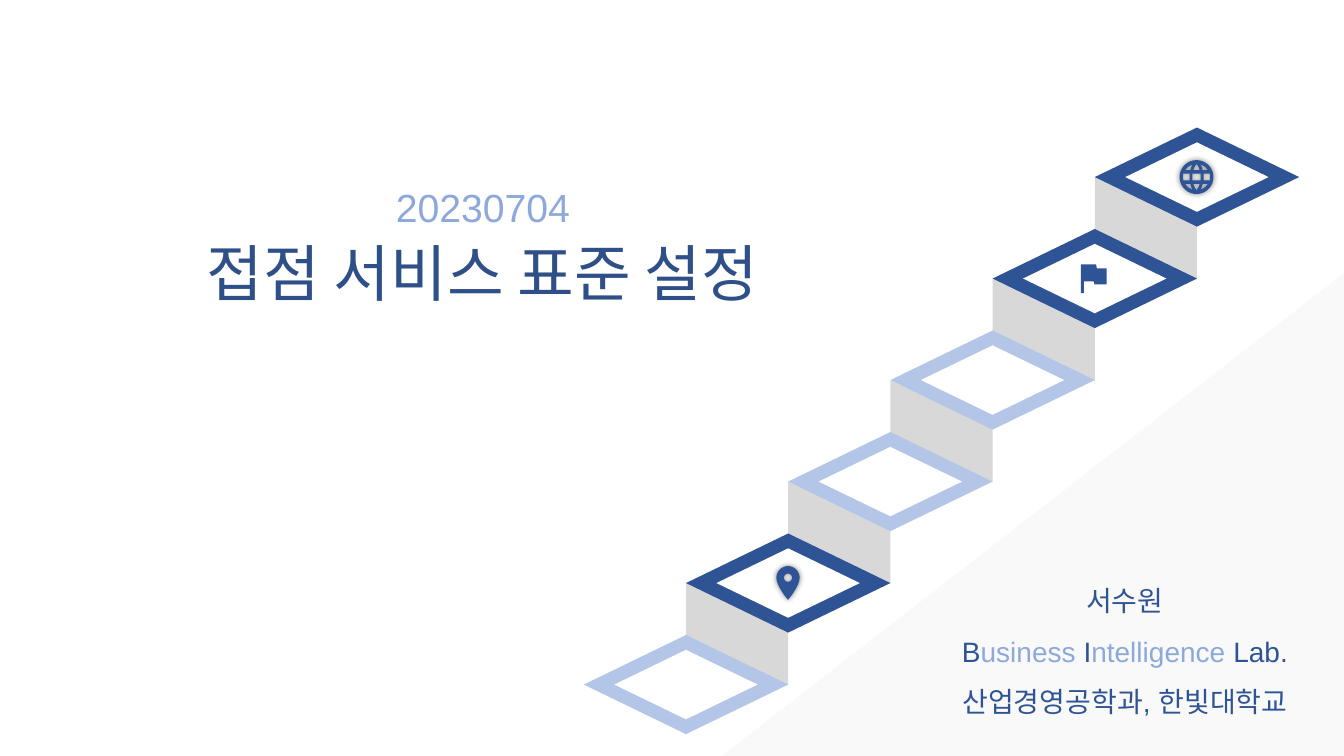
import math
from dataclasses import dataclass

from lxml import etree
from pptx import Presentation
from pptx.dml.color import RGBColor
from pptx.enum import shapes, text
from pptx.oxml import ns
from pptx.util import Pt

Point = tuple[float, float]
Box = tuple[float, float, float, float]


@dataclass(frozen=True)
class Theme:
    navy: str = "2F5496"
    title_navy: str = "2E4F88"
    sky: str = "8DA9DB"
    pale: str = "B3C6E7"
    riser: str = "D8D8D8"
    corner: str = "F2F2F2"
    white: str = "FFFFFF"
    font: str = "Arial"
    title_size: int = 44
    date_size: int = 28
    credit_size: int = 20


@dataclass(frozen=True)
class Step:
    index: int
    color: str

    @property
    def left(self) -> float:
        return 417 + 73 * self.index

    @property
    def top(self) -> float:
        return 453.6 - 72.5 * self.index


@dataclass(frozen=True)
class Icon:
    center: Point
    contours: list[list[Point]]
    glows: bool


THEME = Theme()
PRESET = shapes.MSO_SHAPE


def paint(shape, color: str) -> None:
    shape.shadow.inherit = False
    shape.fill.solid()
    shape.fill.fore_color.rgb = RGBColor.from_string(color)
    shape.line.fill.background()


def add_preset(slide, preset, box: Box, color: str, rotation: float = 0):
    shape = slide.shapes.add_shape(preset, *map(Pt, box))
    shape.rotation = rotation
    paint(shape, color)
    return shape


def add_alpha(color_element, percent: int) -> None:
    etree.SubElement(color_element, ns.qn("a:alpha"), val=str(percent * 1000))


def add_corner(slide) -> None:
    corner = add_preset(slide, PRESET.RIGHT_TRIANGLE, (515.5, 195.1, 444.5, 344.9), THEME.corner)
    properties = corner._element.spPr
    properties.find(ns.qn("a:xfrm")).set("flipH", "1")
    add_alpha(properties.find(ns.qn("a:solidFill"))[0], 40)


def add_riser(slide, step: Step) -> None:
    box = (step.left, step.top + 35.4, 73, 73)
    riser = add_preset(slide, PRESET.PARALLELOGRAM, box, THEME.riser, rotation=270)
    riser.adjustments[0] = 0.47


def add_tile(slide, step: Step) -> None:
    add_preset(slide, PRESET.DIAMOND, (step.left, step.top, 146, 70.8), step.color)
    add_preset(slide, PRESET.DIAMOND, (step.left + 21.8, step.top + 10.6, 102.4, 49.6), THEME.white)


def arc(radius: float, start: int, end: int) -> list[Point]:
    angles = [math.radians(a) for a in range(start, end + 1, 10)]
    return [(radius * math.cos(a), radius * math.sin(a)) for a in angles]


def mirror(points: list[Point], x: int, y: int) -> list[Point]:
    return [(px * x, py * y) for px, py in points]


def band(left: float, right: float) -> list[Point]:
    return [(left, -2.4), (right, -2.4), (right, 2.4), (left, 2.4)]


def globe_contours() -> list[list[Point]]:
    polar = [(-2.3, -4.9), (-1.4, -7.3), (0, -9.4), (1.4, -7.3), (2.3, -4.9)]
    shoulder = [(-8.2, -4.9), (-4.4, -4.9), (-3.8, -7), (-2.9, -9), (-5.9, -7.4)]
    holes = [band(-9.6, -5), band(-2.9, 2.9), band(5, 9.6)]
    holes += [mirror(polar, 1, y) for y in (1, -1)]
    holes += [mirror(shoulder, x, y) for x in (1, -1) for y in (1, -1)]
    return [arc(12.1, 0, 360), *holes]


def pin_contours() -> list[list[Point]]:
    side = []
    for tick in range(1, 11):
        t = tick / 10
        near, bend = (1 - t) ** 3, 3 * t * (1 - t) ** 2
        side.append((8.3 * (near + bend), 6.2 * bend + 15.8 * (1 - near - bend)))
    return [arc(8.3, 180, 360) + side + mirror(side[-2::-1], -1, 1), arc(2.9, 0, 360)]


def flag_contours() -> list[list[Point]]:
    return [[(2.3, -7.4), (1.7, -10.3), (-9.2, -10.3), (-9.2, 10.3), (-6.9, 10.3),
             (-6.9, 1.9), (0, 1.9), (0.6, 4.1), (9.2, 4.1), (9.2, -7.4)]]


def add_icon(slide, icon: Icon) -> None:
    center_x, center_y = icon.center
    placed = [[(Pt(center_x + x), Pt(center_y + y)) for x, y in contour] for contour in icon.contours]
    outline, *holes = placed
    builder = slide.shapes.build_freeform(*outline[0])
    builder.add_line_segments(outline[1:], close=True)
    for hole in holes:
        builder.move_to(*hole[0])
        builder.add_line_segments(hole[1:], close=True)
    symbol = builder.convert_to_shape()
    paint(symbol, THEME.navy)
    if icon.glows:
        effects = symbol._element.spPr.find(ns.qn("a:effectLst"))
        glow = etree.SubElement(effects, ns.qn("a:outerShdw"), blurRad=str(Pt(4)), dist="0", dir="0")
        add_alpha(etree.SubElement(glow, ns.qn("a:srgbClr"), val="000000"), 45)


def write(holder, box: Box, lines: list[list[tuple[str, str]]], *, size: int, spacing: float = 1) -> None:
    holder.left, holder.top, holder.width, holder.height = map(Pt, box)
    frame = holder.text_frame
    frame.word_wrap = True
    frame.auto_size = text.MSO_AUTO_SIZE.NONE
    frame.vertical_anchor = text.MSO_ANCHOR.MIDDLE
    frame.margin_left = frame.margin_right = frame.margin_top = frame.margin_bottom = 0
    for number, line in enumerate(lines):
        paragraph = frame.add_paragraph() if number else frame.paragraphs[0]
        paragraph.alignment = text.PP_ALIGN.CENTER
        paragraph.line_spacing = spacing
        for words, color in line:
            run = paragraph.add_run()
            run.text = words
            run.font.name = THEME.font
            run.font.size = Pt(size)
            run.font.color.rgb = RGBColor.from_string(color)


def add_words(slide, box: Box, lines: list[list[tuple[str, str]]], *, size: int, spacing: float = 1) -> None:
    write(slide.shapes.add_textbox(*map(Pt, box)), box, lines, size=size, spacing=spacing)


def main() -> None:
    deck = Presentation()
    deck.slide_width, deck.slide_height = Pt(960), Pt(540)
    slide = deck.slides.add_slide(deck.slide_layouts[5])
    navy, sky, pale = THEME.navy, THEME.sky, THEME.pale

    add_corner(slide)
    steps = [Step(i, color) for i, color in enumerate([pale, navy, pale, pale, navy, navy])]
    for step in steps[1:]:
        add_riser(slide, step)
    for step in steps:
        add_tile(slide, step)

    icons = [
        Icon((562.9, 412.7), pin_contours(), True),
        Icon((854.7, 126.5), globe_contours(), True),
        Icon((781.2, 199.1), flag_contours(), False),
    ]
    for icon in icons:
        add_icon(slide, icon)

    write(slide.shapes.title, (32.4, 167.8, 625, 53.3),
          [[("접점 서비스 표준 설정", THEME.title_navy)]], size=THEME.title_size)
    add_words(slide, (32.4, 131, 625, 33.8), [[("20230704", sky)]], size=THEME.date_size)
    credits = [
        [("서수원", navy)],
        [("B", navy), ("usiness ", sky), ("I", navy), ("ntelligence ", sky), ("Lab.", navy)],
        [("산업경영공학과, 한빛대학교", navy)],
    ]
    add_words(slide, (671, 404.6, 265, 108.7), credits, size=THEME.credit_size, spacing=1.5)
    deck.save("out.pptx")


if __name__ == "__main__":
    main()
